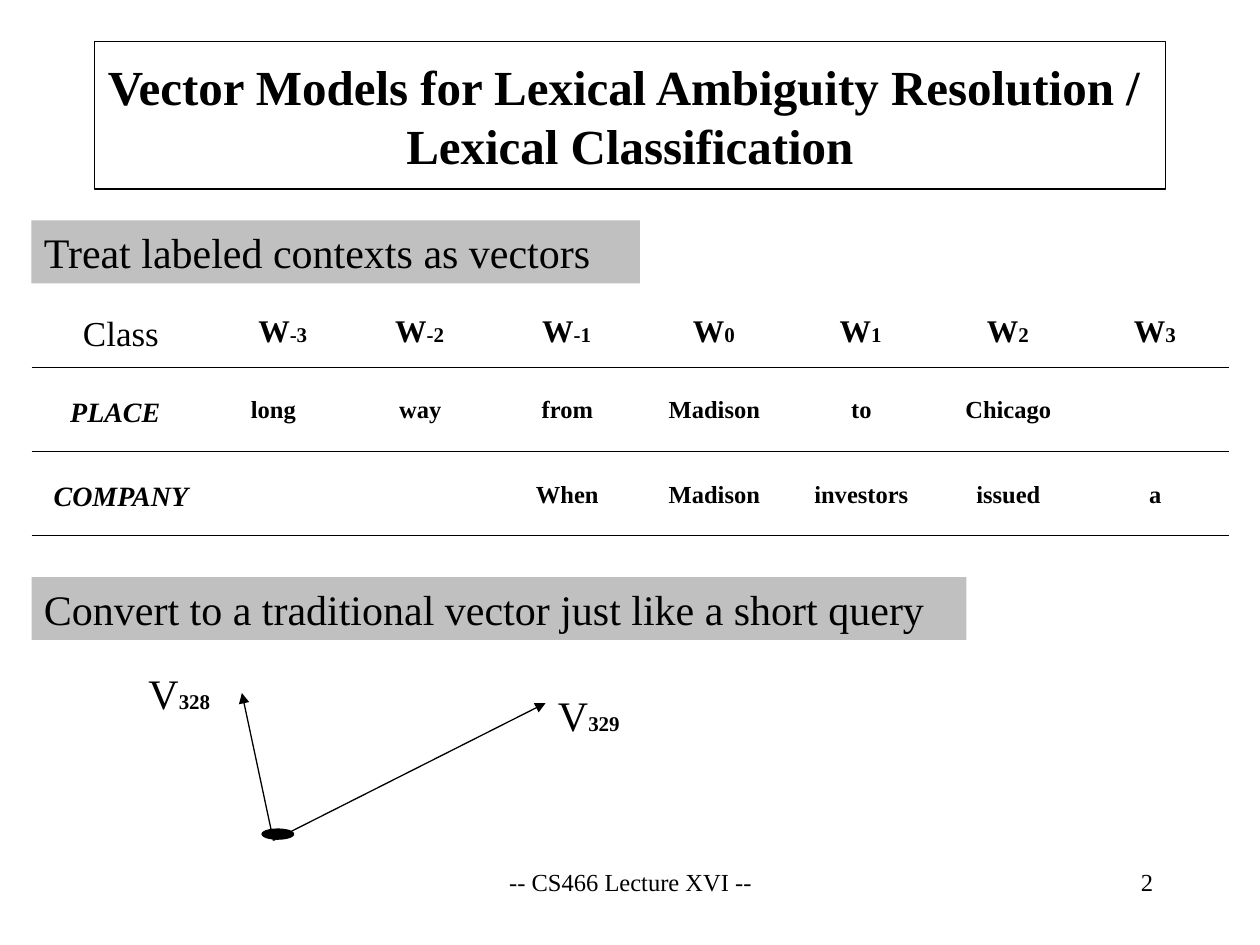
from dataclasses import dataclass

from lxml.etree import SubElement
from pptx import Presentation
from pptx.dml.color import RGBColor
from pptx.enum.shapes import MSO_CONNECTOR as Connector, MSO_SHAPE as Shape
from pptx.enum.text import MSO_ANCHOR as Anchor, PP_ALIGN as Align
from pptx.oxml.ns import qn
from pptx.util import Inches, Pt


@dataclass(frozen=True)
class Theme:
    font: str = "Times New Roman"
    ink: RGBColor = RGBColor(0, 0, 0)
    band: RGBColor = RGBColor(0xC0, 0xC0, 0xC0)
    title: int = 28
    heading: int = 24
    column: int = 20
    symbol: int = 18
    label: int = 16
    word: int = 14
    index: int = 12
    thin: float = 0.5
    line: float = 0.75


theme = Theme()
prs = Presentation()
prs.slide_width, prs.slide_height = Inches(10), Inches(7.5)
slide = prs.slides.add_slide(prs.slide_layouts[6])
shapes = slide.shapes


def add_text(box, runs, align=Align.CENTER, shape=None):
    left, top, width, height = map(Inches, box)
    if shape is None:
        holder = shapes.add_textbox(left, top, width, height)
    else:
        holder = shapes.add_shape(shape, left, top, width, height)
        holder.shadow.inherit = False
    frame = holder.text_frame
    frame.word_wrap = True
    frame.vertical_anchor = Anchor.TOP
    paragraph = frame.paragraphs[0]
    paragraph.text = runs[0][0]
    for text, *_ in runs[1:]:
        paragraph.add_run().text = text
    paragraph.alignment = align
    styles = [run[1:] for run in runs]
    if len(paragraph.runs) > len(styles):
        styles *= len(paragraph.runs)
    for run, (size, bold, italic) in zip(paragraph.runs, styles):
        run.font.name = theme.font
        run.font.size = Pt(size)
        run.font.bold = bold
        run.font.italic = italic
        run.font.color.rgb = theme.ink
    return holder


def add_line(start, end, weight):
    line = shapes.add_connector(Connector.STRAIGHT, *map(Inches, (*start, *end)))
    line.line.color.rgb = theme.ink
    line.line.width = Pt(weight)
    SubElement(line._element.spPr, qn("a:effectLst"))
    return line


title = add_text(
    (0.75, 0.33, 8.5, 1.17),
    [("Vector Models for Lexical Ambiguity Resolution / \vLexical Classification",
      theme.title, True, False)],
    shape=Shape.RECTANGLE,
)
title.text_frame.vertical_anchor = Anchor.MIDDLE
title.fill.background()
title.line.color.rgb = theme.ink
title.line.width = Pt(theme.line)

for top, width, text in (
    (1.75, 4.83, "Treat labeled contexts as vectors"),
    (4.58, 7.42, "Convert to a traditional vector just like a short query"),
):
    heading = add_text((0.25, top, width, 0.5), [(text, theme.heading, False, False)],
                       Align.LEFT, Shape.RECTANGLE)
    heading.fill.solid()
    heading.fill.fore_color.rgb = theme.band
    heading.line.fill.background()

for rule_y in (2.92, 3.58, 4.25):
    add_line((0.25, rule_y), (9.75, rule_y), theme.thin)

first_center, column_pitch = 2.17, 7 / 6
add_text((0.42, 2.42, 1.08, 0.44), [("Class", theme.column, False, False)])
for column, offset in enumerate(range(-3, 4)):
    center = 2.25 if column == 0 else first_center + column * column_pitch
    add_text((center - 0.42, 2.42, 0.83, 0.4),
             [("W", theme.symbol, True, False), (str(offset), theme.index, True, False)])

contexts = (
    ("PLACE", 0.33, 1.17, 3.08, ("long", "way", "from", "Madison", "to", "Chicago", "")),
    ("COMPANY", 0.25, 1.42, 3.75, ("", "", "When", "Madison", "investors", "issued", "a")),
)
for label, left, width, top, words in contexts:
    add_text((left, top, width, 0.37), [(label, theme.label, True, True)])
    for column, word in enumerate(words):
        if word:
            add_text((first_center + column * column_pitch - 0.5, top, 1, 0.34),
                     [(word, theme.word, True, False)])

vector_origin = (2.17, 6.67)
vectors = (("328", (1.92, 5.5), (1.08, 5.25)), ("329", (4.33, 5.58), (4.33, 5.42)))
for index, tip, corner in vectors:
    vector = add_line(vector_origin, tip, theme.line)
    SubElement(vector.line._get_or_add_ln(), qn("a:tailEnd"), type="triangle")
    add_text((*corner, 0.75, 0.5),
             [("V", theme.heading, False, False), (index, theme.index, True, False)], Align.LEFT)

origin_dot = shapes.add_shape(Shape.OVAL, *map(Inches, (2.08, 6.58, 0.25, 0.08)))
origin_dot.shadow.inherit = False
origin_dot.fill.solid()
origin_dot.fill.fore_color.rgb = theme.ink
origin_dot.line.color.rgb = theme.ink
origin_dot.line.width = Pt(theme.line)

add_text((3.42, 6.83, 3.17, 0.5), [("-- CS466 Lecture XVI --", theme.word, False, False)])
add_text((7.17, 6.83, 2.08, 0.5), [("2", theme.word, False, False)], Align.RIGHT)

prs.save("out.pptx")
